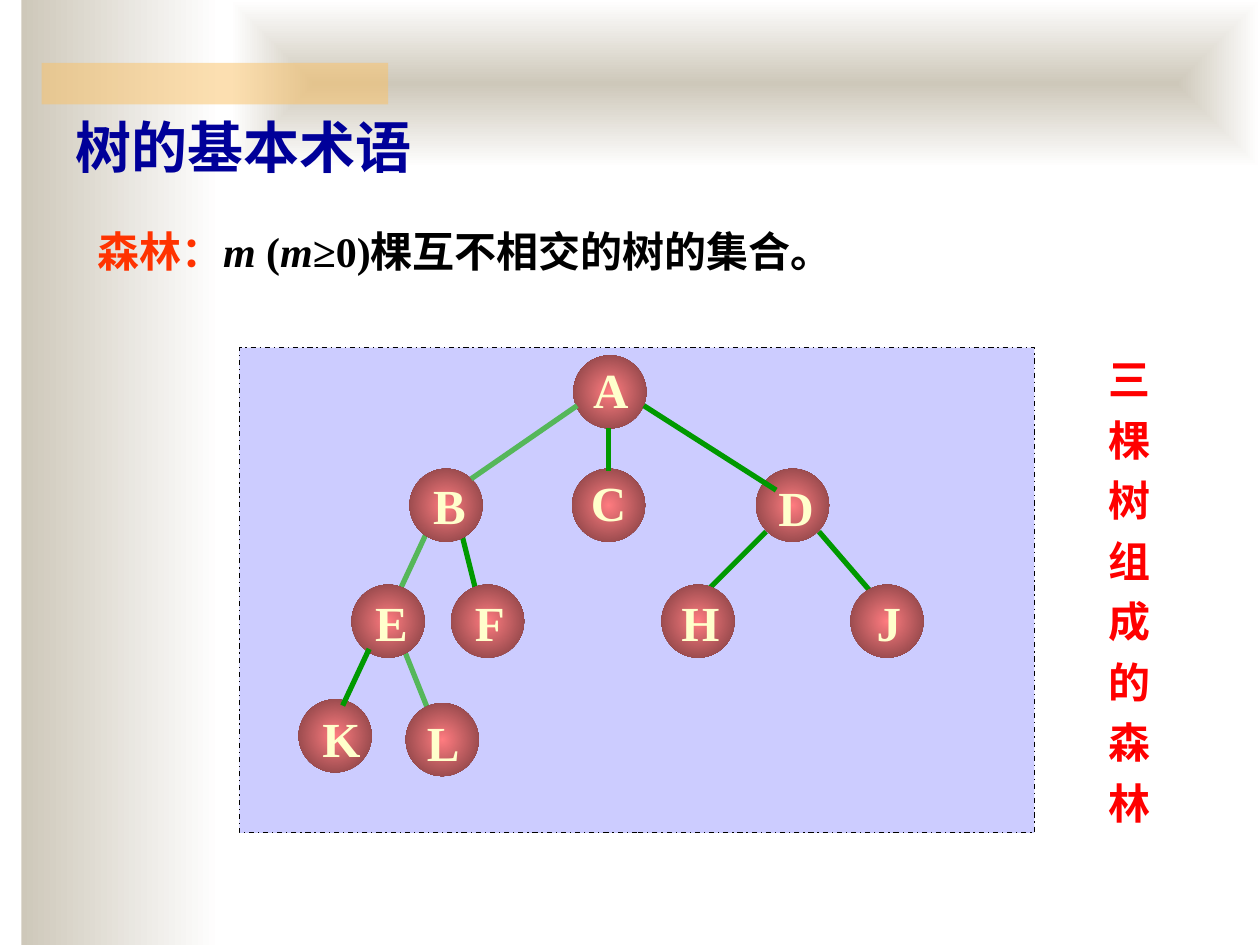
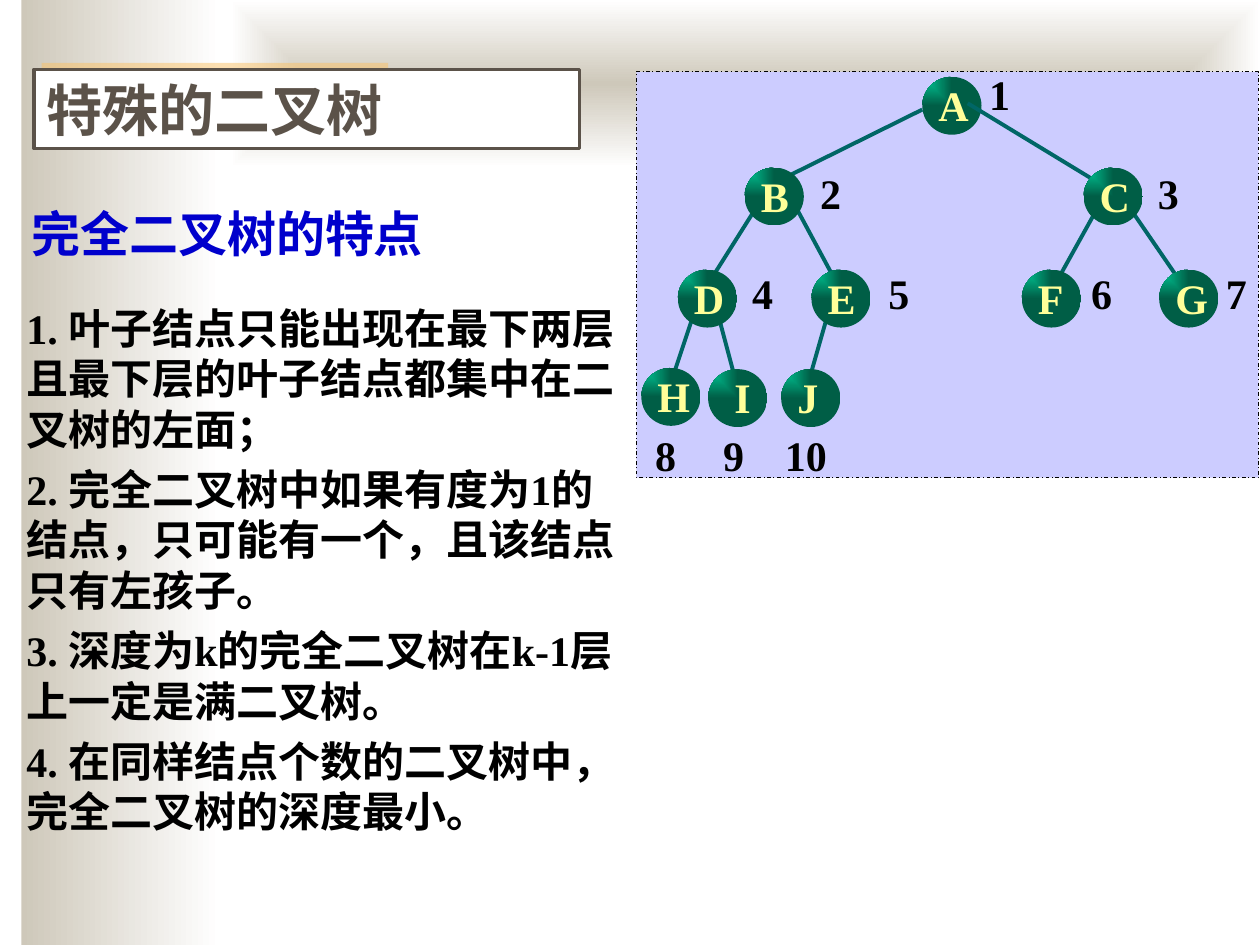
from lxml import etree
from pptx import Presentation
from pptx.dml.color import RGBColor
from pptx.enum.dml import MSO_LINE
from pptx.enum.shapes import MSO_CONNECTOR, MSO_SHAPE
from pptx.enum.text import MSO_ANCHOR, MSO_AUTO_SIZE, PP_ALIGN
from pptx.oxml.ns import qn
from pptx.util import Emu, Pt

RECTANGLE, OVAL = MSO_SHAPE.RECTANGLE, MSO_SHAPE.OVAL
STRAIGHT = MSO_CONNECTOR.STRAIGHT
DASH_DOT = MSO_LINE.DASH_DOT
TOP, MIDDLE = MSO_ANCHOR.TOP, MSO_ANCHOR.MIDDLE
LEFT = PP_ALIGN.LEFT
NO_AUTOFIT = MSO_AUTO_SIZE.NONE

EMU_PER_PX = 9144
LATIN_FONT, CHINESE_FONT = "Times New Roman", "Noto Sans CJK SC"
DEFAULT_INSETS = (10, 5, 10, 5)
COLORS = {
    "white": "FFFFFF", "black": "000000", "sand": "CEC8BA", "amber": "FAC164",
    "navy": "000099", "blue": "0000CC", "brown": "5B5249", "term": "FF3300",
    "red": "FF0000", "panel": "CCCCFF", "branch": "009900", "branch_light": "55B75A",
    "rose": "FF7C80", "rose_dark": "753A3C", "cream": "FFFFCC",
    "jade": "00CC99", "jade_dark": "005E46", "lemon": "FFFF99", "teal": "006666",
}
CENTER_FOCUS = ("circle", 50000, 50000, 50000, 50000)
BAND_FOCUS = ("rect", 50000, 50000, 50000, 50000)
CORNER_FOCUS = ("rect", 0, 0, 100000, 100000)

FOREST_BOX = (190, 276, 631, 385)
FOREST_NODE_SIZE = 58
FOREST_NODES = [
    ("A", 265, 6, 6, -2, 48),
    ("B", 135, 96, 9, 0, 46),
    ("C", 264, 96, 5, -2, 48),
    ("D", 410, 96, 8, 2, 48),
    ("E", 89, 188, 9, 1, 46),
    ("F", 168, 188, 9, 1, 44),
    ("H", 335, 188, 6, 1, 50),
    ("J", 485, 188, 11, 1, 40),
    ("K", 47, 279, 9, 2, 50),
    ("L", 132, 282, 7, 2, 46),
]
FOREST_EDGES_BEHIND = [
    (460, 146, 510, 204, "branch"),
    (418, 146, 368, 196, "branch"),
    (176, 146, 191, 206, "branch"),
    (130, 238, 150, 288, "branch_light"),
    (149, 146, 128, 191, "branch_light"),
]
FOREST_EDGES_FRONT = [
    (103, 239, 82, 284, "branch"),
    (321, 46, 426, 113, "branch"),
    (268, 46, 184, 104, "branch_light"),
    (293, 64, 293, 98, "branch"),
]

BINARY_BOX = (505, 57, 494, 322)
BINARY_NODES = [
    ("A", 227, 4), ("B", 86, 76), ("C", 355, 76), ("D", 33, 157), ("E", 139, 157),
    ("F", 306, 157), ("G", 415, 157), ("H", 4, 235), ("I", 57, 236), ("J", 115, 236),
]
BINARY_NUMBERS = [
    (280, -5), (146, 74), (414, 74), (92, 153), (200, 153),
    (361, 153), (468, 153), (15, 282), (69, 282), (118, 282),
]
BINARY_EDGES = [
    (227, 30, 118, 84), (263, 25, 365, 87), (95, 108, 61, 162),
    (127, 108, 156, 162), (365, 110, 335, 164), (393, 110, 428, 161),
    (45, 194, 30, 239), (65, 193, 77, 238), (151, 196, 139, 238),
]

DEFINITION = [[
    ("森林：", {"color": "term"}),
    ("m", {"italic": True}),
    (" (", {}),
    ("m", {"italic": True}),
    ("≥0)棵互不相交的树的集合。", {}),
]]
FEATURES = [
    "1. 叶子结点只能出现在最下两层且最下层的叶子结点都集中在二叉树的左面；",
    "2. 完全二叉树中如果有度为1的结点，只可能有一个，且该结点只有左孩子。",
    "3. 深度为k的完全二叉树在k-1层上一定是满二叉树。",
    "4. 在同样结点个数的二叉树中，完全二叉树的深度最小。",
]


def px(length):
    return Emu(length * EMU_PER_PX)


def rgb(name):
    return RGBColor.from_string(COLORS[name])


def shift(box, left, top, width, height):
    return box[0] + left, box[1] + top, width, height


def write_text(frame, paragraphs, size=24, color="black", font=LATIN_FONT, line_spacing=1.0,
               space_before=0, anchor=TOP, insets=DEFAULT_INSETS):
    frame.word_wrap = True
    frame.auto_size = NO_AUTOFIT
    frame.vertical_anchor = anchor
    frame.margin_left, frame.margin_top, frame.margin_right, frame.margin_bottom = map(px, insets)
    for index, runs in enumerate(paragraphs):
        paragraph = frame.add_paragraph() if index else frame.paragraphs[0]
        properties = paragraph._p.get_or_add_pPr()
        properties.set("marL", "0")
        properties.set("indent", "0")
        etree.SubElement(properties, qn("a:buNone"))
        paragraph.alignment = LEFT
        paragraph.line_spacing = line_spacing
        paragraph.space_before = Pt(space_before if index else 0)
        for text, changes in [(runs, {})] if isinstance(runs, str) else runs:
            run = paragraph.add_run()
            run.text = text
            run.font.name = font
            run.font.size = Pt(size)
            run.font.bold = True
            run.font.italic = changes.get("italic", False)
            run.font.color.rgb = rgb(changes.get("color", color))
            etree.SubElement(run._r.get_or_add_rPr(), qn("a:ea"), typeface=CHINESE_FONT)


def place(shape, box):
    shape.left, shape.top, shape.width, shape.height = map(px, box)


def add_label(slide, box, text, **text_format):
    label = slide.shapes.add_textbox(*map(px, box))
    write_text(label.text_frame, [text], **text_format)


def add_panel(slide, kind, box, fill=None):
    shape = slide.shapes.add_shape(kind, *map(px, box))
    shape.shadow.inherit = False
    shape.line.fill.background()
    if fill:
        shape.fill.solid()
        shape.fill.fore_color.rgb = rgb(fill)
    return shape


def set_gradient(shape, start, end, focus=None):
    shape.fill.gradient()
    shape.fill.gradient_angle = 0
    for stop, color in zip(shape.fill.gradient_stops, (start, end)):
        stop.color.rgb = rgb(color)
    if focus:
        gradient = shape.element.spPr.find(qn("a:gradFill"))
        gradient.remove(gradient.find(qn("a:lin")))
        route = etree.SubElement(gradient, qn("a:path"), path=focus[0])
        sides = {side: str(value) for side, value in zip("ltrb", focus[1:])}
        etree.SubElement(route, qn("a:fillToRect"), **sides)


def add_diagram_panel(slide, box, line_width):
    panel = add_panel(slide, RECTANGLE, box, "panel")
    panel.line.color.rgb = rgb("black")
    panel.line.width = Pt(line_width)
    panel.line.dash_style = DASH_DOT


def add_edge(slide, box, ends, color, width):
    x, y = box[:2]
    start_x, start_y, end_x, end_y = ends
    edge = slide.shapes.add_connector(
        STRAIGHT, px(x + start_x), px(y + start_y), px(x + end_x), px(y + end_y))
    edge.line.color.rgb = rgb(color)
    edge.line.width = Pt(width)
    etree.SubElement(edge.element.spPr, qn("a:effectLst"))


def build_background(slide):
    side_band = add_panel(slide, RECTANGLE, (17, 0, 158, 750))
    set_gradient(side_band, "sand", "white")
    top_band = add_panel(slide, RECTANGLE, (183, 0, 817, 133))
    set_gradient(top_band, "sand", "white", BAND_FOCUS)
    accent = add_panel(slide, RECTANGLE, (33, 50, 275, 33), "amber")
    color = accent.element.spPr.find(".//" + qn("a:srgbClr"))
    etree.SubElement(color, qn("a:alpha"), val="50000")
    layout_tree = slide.slide_layout.shapes.element
    for index, band in enumerate((side_band, top_band, accent)):
        band.element.nvSpPr.cNvPr.set("id", str(100 + index))
        layout_tree.insert(2 + index, band.element)


def add_title(slide, text, box, color):
    title = slide.shapes.title
    place(title, box)
    write_text(title.text_frame, [text], size=32, color=color)
    return title


def add_body(slide, paragraphs, box, **text_format):
    body = slide.placeholders[1]
    place(body, box)
    write_text(body.text_frame, paragraphs, **text_format)


def draw_forest(slide, box):
    add_diagram_panel(slide, box, 0.75)
    for *ends, color in FOREST_EDGES_BEHIND:
        add_edge(slide, box, ends, color, 3)
    for letter, left, top, *_ in FOREST_NODES:
        node_box = shift(box, left, top, FOREST_NODE_SIZE, FOREST_NODE_SIZE)
        set_gradient(add_panel(slide, OVAL, node_box), "rose", "rose_dark", CENTER_FOCUS)
    for *ends, color in FOREST_EDGES_FRONT:
        add_edge(slide, box, ends, color, 3)
    for letter, left, top, label_x, label_y, width in FOREST_NODES:
        label_box = shift(box, left + label_x, top + label_y, width, 57)
        add_label(slide, label_box, letter, size=28, color="cream", anchor=MIDDLE)


def draw_binary_node(slide, box, letter, left, top):
    node = add_panel(slide, OVAL, shift(box, left, top, 47, 46))
    set_gradient(node, "jade", "jade_dark", CORNER_FOCUS)
    inset = 14 if letter == "I" else 6
    write_text(node.text_frame, [letter], color="lemon", line_spacing=0.9, insets=(inset, 0, 0, 0))


def draw_binary_tree(slide, box):
    add_diagram_panel(slide, box, 0.5)
    root, *descendants = BINARY_NODES
    draw_binary_node(slide, box, *root)
    for ends in BINARY_EDGES:
        add_edge(slide, box, ends, "teal", 2.25)
    for node in descendants:
        draw_binary_node(slide, box, *node)
    for number, (left, top) in enumerate(BINARY_NUMBERS, 1):
        number_box = shift(box, left, top, 27 if number < 10 else 42, 39)
        add_label(slide, number_box, str(number), insets=(0, 2, 0, 0))


def build_forest_slide(slide):
    add_title(slide, "树的基本术语", (50, 84, 433, 63), "navy")
    add_body(slide, DEFINITION, (67, 170, 867, 54), line_spacing=1.1)
    draw_forest(slide, FOREST_BOX)
    add_label(slide, (870, 268, 64, 398), "三棵树组成的森林",
              font=CHINESE_FONT, color="red", line_spacing=1.2)


def build_binary_slide(slide):
    title = add_title(slide, "特殊的二叉树", (27, 55, 433, 63), "brown")
    title.fill.solid()
    title.fill.fore_color.rgb = rgb("white")
    title.line.color.rgb = rgb("brown")
    title.line.width = Pt(2)
    add_label(slide, (25, 157, 414, 57), "完全二叉树的特点",
              size=28, color="blue", insets=(0, 5, 0, 5))
    add_body(slide, FEATURES, (21, 235, 477, 433), space_before=5.7, insets=(0, 5, 0, 5))
    draw_binary_tree(slide, BINARY_BOX)


def main():
    presentation = Presentation()
    presentation.slide_width, presentation.slide_height = px(1000), px(750)
    layout = presentation.slide_layouts[1]
    forest_slide, binary_slide = (presentation.slides.add_slide(layout) for _ in range(2))
    build_background(forest_slide)
    build_forest_slide(forest_slide)
    build_binary_slide(binary_slide)
    presentation.save("out.pptx")


if __name__ == "__main__":
    main()
